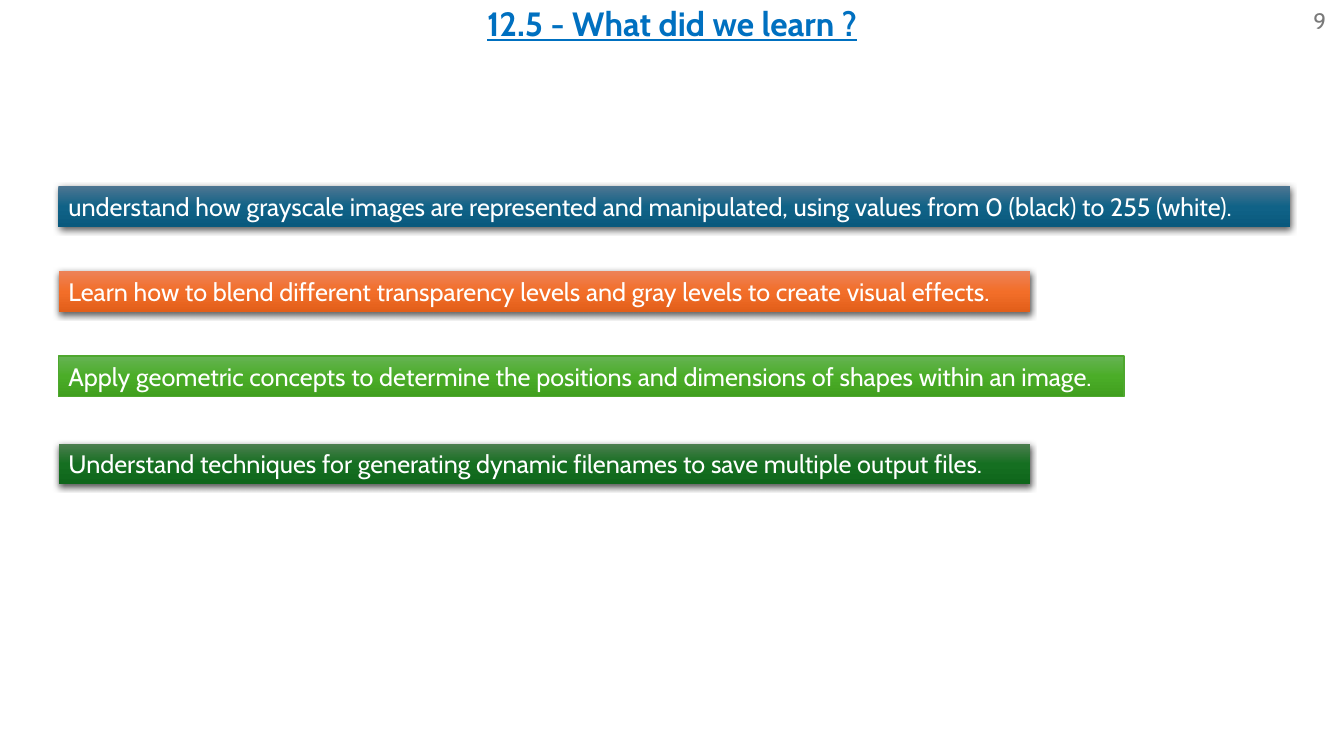
from copy import deepcopy
from lxml.etree import SubElement
from pptx import Presentation
from pptx.dml.color import RGBColor
from pptx.enum.shapes import MSO_SHAPE
from pptx.enum.text import MSO_ANCHOR, MSO_AUTO_SIZE, PP_ALIGN
from pptx.oxml.ns import qn
from pptx.util import Pt

LEFT, HIGH = 41.8, 29.1
BARS = [
    (133.2, 880, ("4C7591", "106287", "09597D"), None,
     "understand how grayscale images are represented and manipulated, "
     "using values from 0 (black) to 255 (white)."),
    (193.7, 694, ("ED8257", "F26E29", "E25F1A"), None,
     "Learn how to blend different transparency levels and gray levels "
     "to create visual effects."),
    (254.2, 761, ("66B354", "4BAD28", "409F1E"), "4EA72E",
     "Apply geometric concepts to determine the positions and dimensions "
     "of shapes within an image."),
    (316.8, 694, ("4D7E50", "156F21", "0F661B"), None,
     "Understand techniques for generating dynamic filenames "
     "to save multiple output files."),
]


def color(code):
    return RGBColor.from_string(code)


def write(shape, text, size, code, anchor, align=PP_ALIGN.LEFT):
    frame = shape.text_frame
    frame.word_wrap = True
    frame.vertical_anchor = anchor
    para = frame.paragraphs[0]
    para.text = text
    para.alignment = align
    para.font.name = "Cabin"
    para.font.size = Pt(size)
    para.font.color.rgb = color(code)
    return para


def title(slide, x, y, w, h):
    box = slide.shapes.add_textbox(Pt(x), Pt(y), Pt(w), Pt(h))
    para = write(box, "12.5 - What did we learn\u00a0?", 24, "0070C0",
                 MSO_ANCHOR.MIDDLE, PP_ALIGN.CENTER)
    para.line_spacing = 0.9
    para.font.bold = True
    para.font.underline = True


def number(slide, x, y, w, h):
    box = slide.shapes.add_textbox(Pt(x), Pt(y), Pt(w), Pt(h))
    write(box, "9", 16, "797979", MSO_ANCHOR.MIDDLE)


def blend(shape, codes):
    fill = shape.fill
    fill.gradient()
    fill.gradient_angle = 270
    stops = shape._element.spPr.find(".//" + qn("a:gsLst"))
    stops.append(deepcopy(stops[-1]))
    for stop, place, code in zip(fill.gradient_stops, (0, 0.5, 1), codes):
        stop.position = place
        stop.color.rgb = color(code)


def shade(shape):
    effects = shape._element.spPr.find(qn("a:effectLst"))
    outer = SubElement(effects, qn("a:outerShdw"), blurRad=str(Pt(4.5)),
                       dist=str(Pt(1.5)), dir="5400000", algn="ctr",
                       rotWithShape="0")
    black = SubElement(outer, qn("a:srgbClr"), val="000000")
    SubElement(black, qn("a:alpha"), val="63000")


def bar(slide, x, y, w, h, codes, edge, text):
    shape = slide.shapes.add_shape(MSO_SHAPE.RECTANGLE, Pt(x), Pt(y), Pt(w), Pt(h))
    blend(shape, codes)
    shape.shadow.inherit = False
    if edge:
        shape.line.color.rgb = color(edge)
        shape.line.width = Pt(1)
    else:
        shape.line.fill.background()
        shade(shape)
    write(shape, text, 18, "FFFFFF", MSO_ANCHOR.TOP)
    shape.text_frame.auto_size = MSO_AUTO_SIZE.SHAPE_TO_FIT_TEXT


def main():
    deck = Presentation()
    deck.slide_width, deck.slide_height = Pt(960), Pt(540)
    slide = deck.slides.add_slide(deck.slide_layouts[6])
    title(slide, 300, -3, 360, 43)
    number(slide, 931, 0, 29, 29)
    for top, wide, codes, edge, text in BARS:
        bar(slide, LEFT, top, wide, HIGH, codes, edge, text)
    deck.save("out.pptx")


if __name__ == "__main__":
    main()
